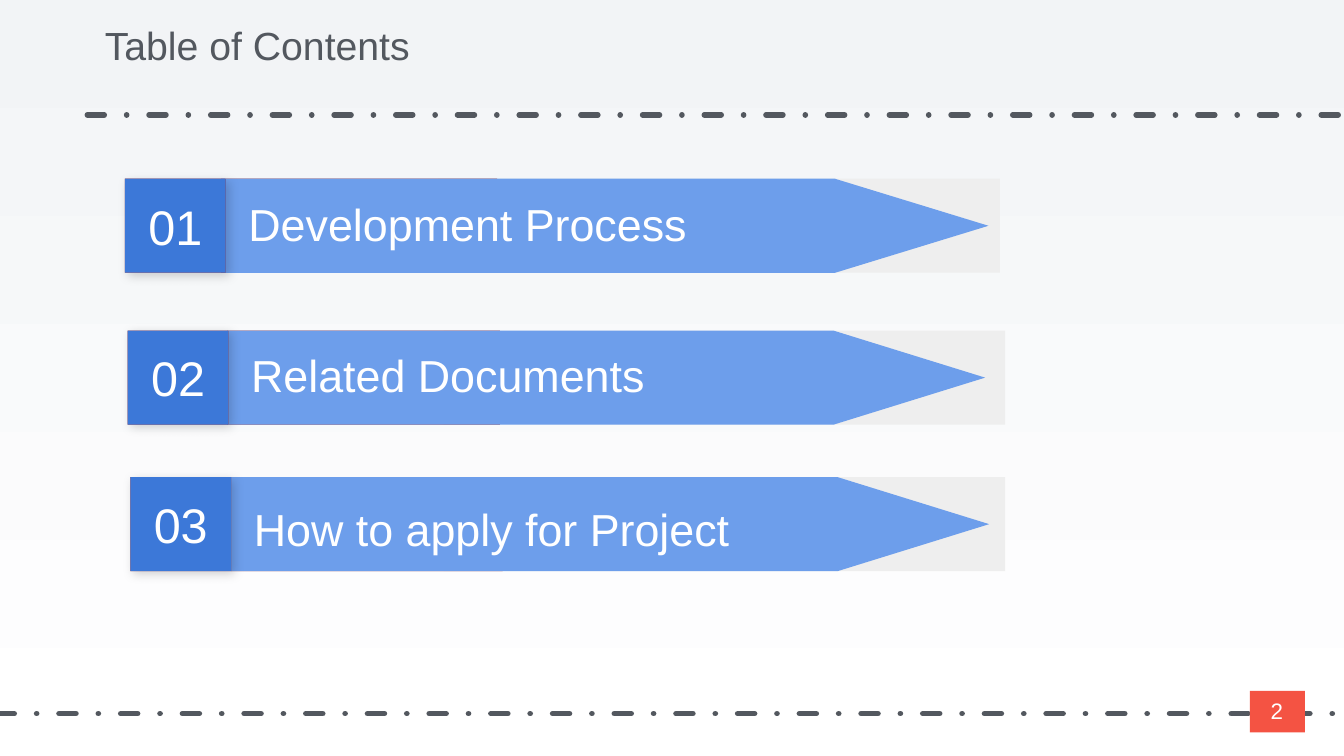
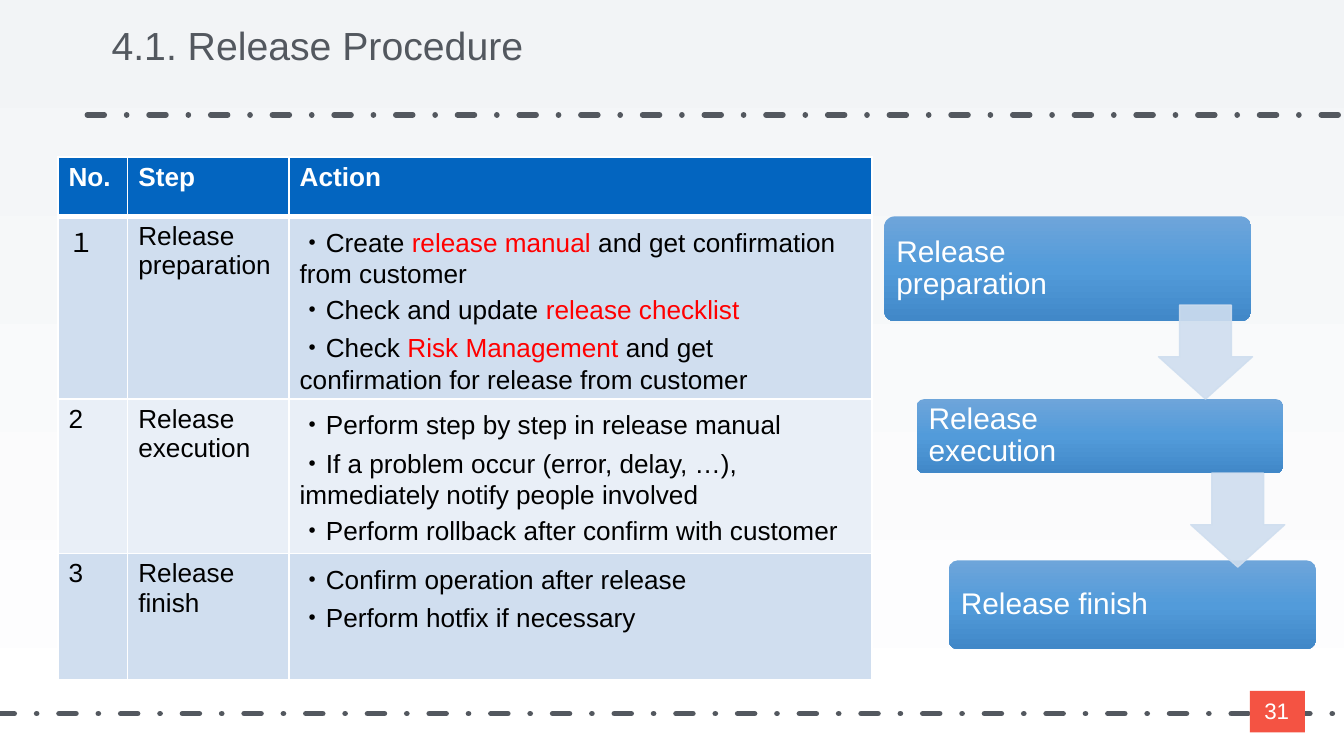
from copy import deepcopy

from lxml.etree import SubElement
from pptx import Presentation
from pptx.dml.color import RGBColor
from pptx.enum.dml import MSO_LINE as Dash
from pptx.enum.shapes import MSO_CONNECTOR as Connector, MSO_SHAPE as Kind
from pptx.enum.text import MSO_ANCHOR as Anchor, MSO_AUTO_SIZE as AutoSize, PP_ALIGN as Align
from pptx.oxml.ns import qn
from pptx.util import Inches, Pt

CELL = Inches(0.1)
COLUMNS, ROWS = 100, 56.25
FONT = "Arial"
INK, WHITE, BLACK, RED = "53585F", "FFFFFF", "000000", "FF0000"
color = RGBColor.from_string


def add_block(shapes, kind, box, fill=None, inset=1):
    spot = [round(value * CELL) for value in box]
    if kind is None:
        block = shapes.add_textbox(*spot)
    else:
        block = shapes.add_shape(kind, *spot)
        block.shadow.inherit = False
        block.line.fill.background()
        if fill:
            block.fill.solid()
            block.fill.fore_color.rgb = color(fill)
    margin = round(inset * CELL)
    frame_format = {
        "word_wrap": True, "vertical_anchor": Anchor.MIDDLE,
        "margin_left": margin, "margin_right": margin,
        "margin_top": margin, "margin_bottom": margin,
    }
    for name, value in frame_format.items():
        setattr(block.text_frame, name, value)
    return block


def write(para, spans, size, align=Align.LEFT, spacing=1.0, bold=False):
    para.alignment = align
    para.line_spacing = spacing
    for text, shade in spans:
        span = para.add_run()
        span.text = text
        for name, value in {"name": FONT, "size": Pt(size), "bold": bold}.items():
            setattr(span.font, name, value)
        span.font.color.rgb = color(shade)


deck = Presentation()
deck.slide_width = COLUMNS * CELL
deck.slide_height = round(ROWS * CELL)

backdrop = deck.slide_master.background.fill
backdrop.gradient()
backdrop.gradient_angle = 270
for stop, shade in zip(backdrop.gradient_stops, ["F2F4F6", WHITE]):
    stop.color.rgb = color(shade)

layout = deck.slide_layouts[5]
pages = []
for heading, number, indent in [("Table of Contents", "2", 1), ("4.1. Release Procedure", "31", 1.5)]:
    page = deck.slides.add_slide(layout)
    pages.append(page)
    title = page.shapes.title
    for name, value in zip(["left", "top", "width", "height"], [6.8, 2.3, 76.1, 3.2]):
        setattr(title, name, round(value * CELL))
    title_format = {
        "auto_size": AutoSize.NONE, "vertical_anchor": Anchor.MIDDLE,
        "margin_left": round(indent * CELL), "margin_right": CELL,
        "margin_top": CELL, "margin_bottom": CELL,
    }
    for name, value in title_format.items():
        setattr(title.text_frame, name, value)
    write(title.text_frame.paragraphs[0], [(heading, INK)], 21, spacing=0.6)
    badge = add_block(page.shapes, None, (93.5, 51.8, 3, 2.2), inset=0.4)
    write(badge.text_frame.paragraphs[0], [(number, WHITE)], 12, Align.CENTER)

contents, release = pages

for start, level in [(6.5, 8.55), (-0.2, 53.1)]:
    ends = [round(value * CELL) for value in (start, level, 99.8, level)]
    rule = contents.shapes.add_connector(Connector.STRAIGHT, *ends)
    rule.line.color.rgb = color(INK)
    rule.line.width = Pt(3)
    rule.line.dash_style = Dash.DASH_DOT
    rule.line._ln.set("cap", "rnd")
    SubElement(rule._element.spPr, qn("a:effectLst"))
    layout.shapes._spTree.append(rule._element)
number_tile = add_block(contents.shapes, Kind.RECTANGLE, (93, 51.4, 4.1, 3.1), "F45343")
layout.shapes._spTree.append(number_tile._element)

HEIGHT, TILE = 7, 7.5
chapters = [
    ("Development Process", 13.3, 32.6, 16.45, 57.1, 0.6, 1.0),
    ("Related Documents", 24.6, 33, 16.9, 56.4, 0.6, 1.0),
    ("How to apply for Project", 35.5, 33, 17.2, 56.4, 0.8, 1.15),
]
for index, (text, top, track_left, ribbon_left, length, drop, spacing) in enumerate(chapters):
    left = 9.3 + 0.2 * index
    group = contents.shapes.add_group_shape().shapes
    add_block(group, Kind.RECTANGLE, (track_left, top, 41.8, HEIGHT), "EEEEEE")
    add_block(group, Kind.RECTANGLE, (left + TILE, top, 20.2, HEIGHT), "A72A1E")
    ribbon_box = (ribbon_left + (length - HEIGHT) / 2, top - (length - HEIGHT) / 2, HEIGHT, length)
    ribbon = add_block(group, Kind.FLOWCHART_OFFPAGE_CONNECTOR, ribbon_box, "6D9EEB")
    ribbon.rotation = 270
    label = add_block(group, None, (left + 8.2, top + drop, 46.4, 5.4))
    write(label.text_frame.paragraphs[0], [(text, WHITE)], 24, spacing=spacing)
    tile_box = (left, top, TILE, HEIGHT)
    base = add_block(group, Kind.RECTANGLE, tile_box, "B02C20")
    effects = base._element.spPr.find(qn("a:effectLst"))
    shadow = SubElement(effects, qn("a:outerShdw"), blurRad=str(Pt(5.6)), dist=str(Pt(2.2)),
                        dir="2700000", algn="tl", rotWithShape="0")
    tint = SubElement(shadow, qn("a:srgbClr"), val=BLACK)
    SubElement(tint, qn("a:alpha"), val="17000")
    tile = add_block(group, Kind.RECTANGLE, tile_box, "3C78D8")
    write(tile.text_frame.paragraphs[0], [(f"{index + 1:02}", WHITE)], 26, Align.CENTER)

flow = release.shapes.add_group_shape().shapes
STAGGER = 2.4
stages = [
    ("Release preparation", 16.1, 7.8, 16),
    ("Release execution", 29.7, 5.5, 17.7),
    ("Release finish", 41.7, 6.6, 17.6),
]
for index, (text, top, height, text_width) in enumerate(stages):
    left = 65.8 + STAGGER * index
    stage = add_block(flow, Kind.ROUNDED_RECTANGLE, (left, top, 27.3, height))
    stage.adjustments[0] = 0.1
    stage.fill.gradient()
    stage.fill.gradient_angle = 270
    last_stop = list(stage._element.spPr.iter(qn("a:gs")))[-1]
    last_stop.addprevious(deepcopy(last_stop))
    shades = ["6EA5DA", "529BDA", "4188C8"]
    for stop, position, shade in zip(stage.fill.gradient_stops, [0, 0.5, 1], shades):
        stop.position = position
        stop.color.rgb = color(shade)
    label = add_block(flow, None, (left + 0.2, top + 0.2, text_width, height - 0.4), inset=0.7)
    write(label.text_frame.paragraphs[0], [(text, WHITE)], 16, spacing=0.9)

for index, top in enumerate([22.7, 35.2]):
    arrow = add_block(flow, Kind.DOWN_ARROW, (86.2 + STAGGER * index, top, 7, 7), "CFDEEF")
    arrow.adjustments[0], arrow.adjustments[1] = 0.55, 0.45
    arrow.line.color.rgb = color("CFDEEF")
    arrow.line.width = Pt(0.75)
    for tint in arrow._element.spPr.iter(qn("a:srgbClr")):
        SubElement(tint, qn("a:alpha"), val="90000")

steps = [
    ("No.", "Step", [[("Action", WHITE)]]),
    ("１", "Release preparation", [
        [("・Create ", BLACK), ("release manual ", RED), ("and get confirmation from customer", BLACK)],
        [("・Check and update ", BLACK), ("release checklist", RED)],
        [("・Check ", BLACK), ("Risk Management ", RED),
         ("and get confirmation for release from customer", BLACK)],
    ]),
    ("2", "Release execution", [
        [("・Perform step by step in release manual", BLACK)],
        [("・If a problem occur (error, delay, …), immediately notify people involved", BLACK)],
        [("・Perform rollback after confirm with customer", BLACK)],
    ]),
    ("3", "Release finish", [
        [("・Confirm operation after release", BLACK)],
        [("・Perform hotfix if necessary", BLACK)],
    ]),
]
widths, heights = [5.2, 12, 43.4], [4.4, 13.6, 11.5, 9.4]
table_box = [round(value * CELL) for value in (4.3, 11.7, sum(widths), sum(heights))]
table = release.shapes.add_table(len(steps), len(widths), *table_box).table
table.horz_banding = False
for column, width in zip(table.columns, widths):
    column.width = round(width * CELL)
cell_format = {
    "margin_left": Inches(0.08), "margin_right": Inches(0.08),
    "margin_top": Inches(0.04), "margin_bottom": Inches(0.04),
}
fills = ["0365C0", "D0DEEF", "E9EFF7", "D0DEEF"]
for index, (number, step, actions) in enumerate(steps):
    table.rows[index].height = round(heights[index] * CELL)
    header = index == 0
    ink = WHITE if header else BLACK
    for column, paragraphs in enumerate([[[(number, ink)]], [[(step, ink)]], actions]):
        cell = table.cell(index, column)
        for name, value in cell_format.items():
            setattr(cell, name, value)
        cell.fill.solid()
        cell.fill.fore_color.rgb = color(fills[index])
        for order, spans in enumerate(paragraphs):
            frame = cell.text_frame
            para = frame.add_paragraph() if order else frame.paragraphs[0]
            write(para, spans, 14, bold=header)
        properties = cell._tc.get_or_add_tcPr()
        for order, side in enumerate(["lnL", "lnR", "lnT", "lnB"]):
            thick = (header and side == "lnB") or (index == 1 and side == "lnT")
            border = SubElement(properties, qn(f"a:{side}"), w=str(Pt(3 if thick else 1)))
            SubElement(SubElement(border, qn("a:solidFill")), qn("a:srgbClr"), val=WHITE)
            properties.insert(order, border)

deck.save("out.pptx")
